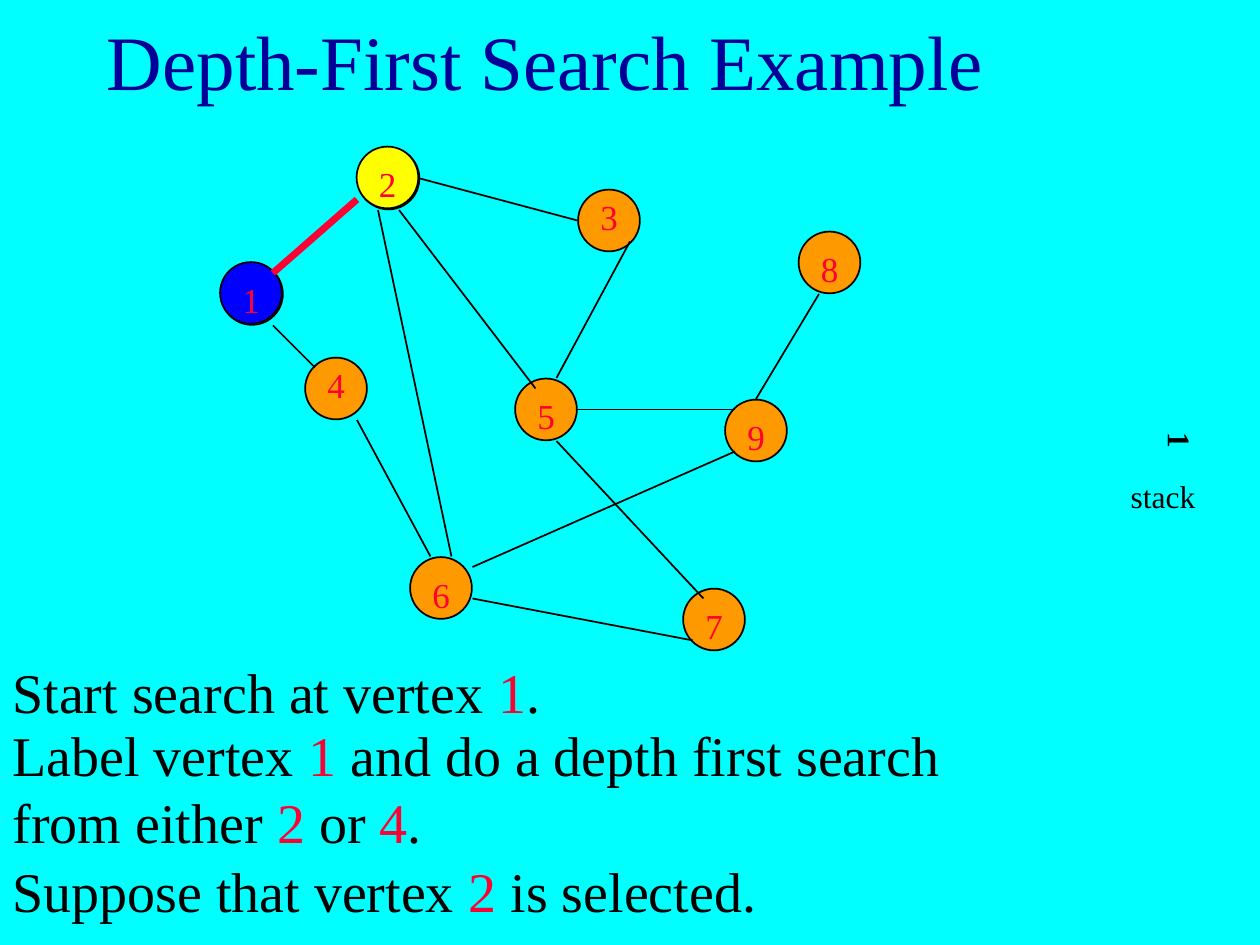
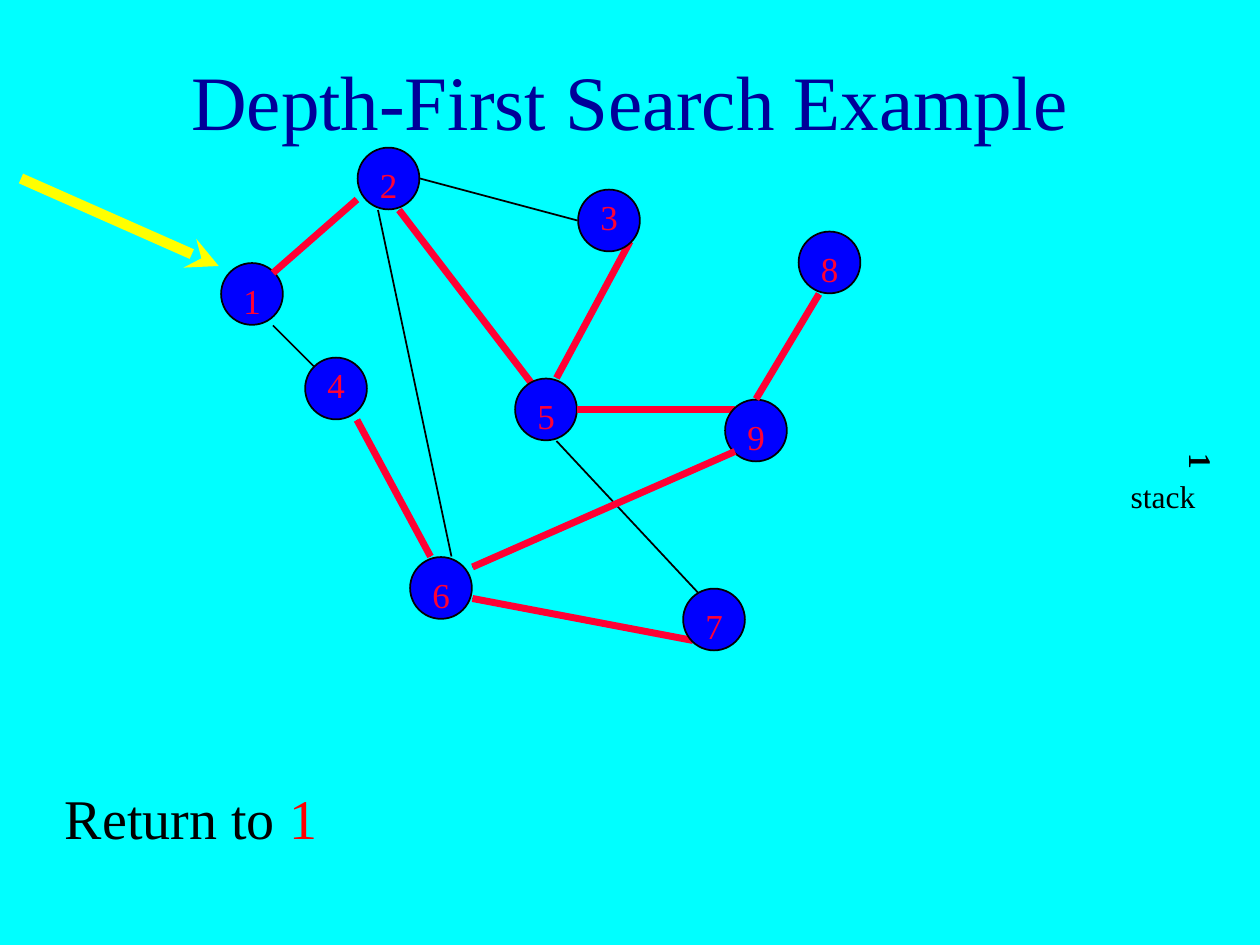
from pptx import Presentation
from pptx.dml.color import RGBColor
from pptx.enum import shapes, text
from pptx.oxml.ns import qn
from pptx.util import Pt
from lxml import etree

FONT = "Times New Roman"
AQUA, NAVY, BLACK = "00FFFF", "000099", "000000"
RED, ROSE, BLUE = "FF0000", "FF0033", "0000FF"
GOLD, AMBER = "FFFF00", "FF9900"
TITLE = "Depth-First Search Example"
GRAPH = (126, 84, 372, 288)
COLS = 62
RAD = 17.65
NODES = {1: (3, 14), 2: (16, 3), 3: (37, 7), 4: (11, 23), 5: (31, 25),
         6: (21, 42), 7: (47, 45), 8: (58, 11), 9: (51, 27)}
EDGES = {(1, 2): (5, 12, 13, 5), (2, 5): (17, 6, 30, 23),
         (1, 4): (5, 17, 9, 21), (6, 4): (20, 39, 13, 26),
         (6, 7): (24, 43, 45, 47), (5, 3): (32, 22, 39, 9),
         (5, 7): (32, 28, 46, 43), (9, 8): (51, 24, 57, 14),
         (5, 9): (34, 25, 49, 25), (2, 3): (19, 3, 34, 7),
         (2, 6): (15, 6, 22, 39), (9, 6): (49, 29, 24, 40)}
TREE = [(1, 2), (2, 5), (5, 9), (9, 8), (9, 6), (6, 4), (6, 7), (5, 3)]
HIGH = (3, 4)


def tint(code):
    """Turn a hex string into a colour."""
    return RGBColor.from_string(code)


def write(slide, box, parts, size, hues=(BLACK, ROSE), bold=False,
          align=text.PP_ALIGN.LEFT, anchor=text.MSO_ANCHOR.TOP, wrap=True):
    """Add a text box whose runs take the hues in turn."""
    shape = slide.shapes.add_textbox(*map(Pt, box))
    frame = shape.text_frame
    frame.word_wrap = wrap
    frame.vertical_anchor = anchor
    para = frame.paragraphs[0]
    para.alignment = align
    for i, part in enumerate(parts):
        run = para.add_run()
        run.text = part
        run.font.name = FONT
        run.font.size = Pt(size)
        run.font.bold = bold
        run.font.color.rgb = tint(hues[i % len(hues)])
    return shape


def link(slide, ends, hue=BLACK, width=1, arrow=False):
    """Draw a straight line, with an arrowhead at its end if asked."""
    line = slide.shapes.add_connector(shapes.MSO_CONNECTOR.STRAIGHT,
                                      *map(Pt, ends))
    line.line.color.rgb = tint(hue)
    line.line.width = Pt(width)
    props = line._element.spPr
    if arrow:
        etree.SubElement(props.find(qn("a:ln")), qn("a:tailEnd"),
                         type="stealth")
    etree.SubElement(props, qn("a:effectLst"))


def edge(slide, box, pair, hue=BLACK, width=1):
    """Draw one edge of the graph inside its box."""
    left, top, wide, _ = box
    unit = wide / COLS
    x1, y1, x2, y2 = EDGES[pair]
    link(slide, (left + x1 * unit, top + y1 * unit,
                 left + x2 * unit, top + y2 * unit), hue, width)


def disc(slide, box, key, fill):
    """Draw the circle of one vertex inside the graph box."""
    left, top, wide, _ = box
    unit = wide / COLS
    x, y = left + NODES[key][0] * unit, top + NODES[key][1] * unit
    shape = slide.shapes.add_shape(
        shapes.MSO_SHAPE.OVAL, Pt(x - RAD), Pt(y - RAD),
        Pt(2 * RAD), Pt(2 * RAD))
    shape.shadow.inherit = False
    shape.fill.solid()
    shape.fill.fore_color.rgb = tint(fill)
    shape.line.color.rgb = tint(BLACK)
    shape.line.width = Pt(1)
    return x, y


def node(slide, box, key, fill):
    """Draw one vertex with its number."""
    x, y = disc(slide, box, key, fill)
    rise = 18 if key in HIGH else 12
    write(slide, (x - 12, y - rise, 18, 31), [str(key)], 20, (ROSE,))


def stack(slide, box):
    """Write the stack label and its turned content in the given box."""
    write(slide, (639, 269, 52, 29), ["stack"], 18, wrap=False)
    item = write(slide, box, ["1"], 18, bold=True)
    item.text_frame._txBody.bodyPr.set("vert", "eaVert")


def base(deck, top, align):
    """Add a slide with its background and title."""
    slide = deck.slides.add_slide(deck.slide_layouts[6])
    fill = slide.background.fill
    fill.solid()
    fill.fore_color.rgb = tint(AQUA)
    write(slide, (54, top, 612, 90), [TITLE], 44, (NAVY,), align=align,
          anchor=text.MSO_ANCHOR.MIDDLE)
    return slide


def start(deck):
    """Build the slide where the search begins."""
    slide = base(deck, -11, text.PP_ALIGN.LEFT)
    for key in NODES:
        node(slide, GRAPH, key, AMBER)
    for pair in EDGES:
        edge(slide, GRAPH, pair)
    near = (GRAPH[0] - 0.6, GRAPH[1] - 0.6, *GRAPH[2:])
    for key, fill in ((1, BLUE), (2, GOLD)):
        node(slide, near, key, fill)
    edge(slide, GRAPH, TREE[0], ROSE, 4)
    write(slide, (0, 372, 612, 56), ["Start search at vertex ", "1", "."], 32)
    write(slide, (0, 408, 558, 84),
          ["Label vertex ", "1", " and do a depth first search from either",
           " 2 ", "or ", "4", "."], 32)
    write(slide, (0, 486, 558, 45),
          ["Suppose that vertex ", "2", " is selected."], 32)
    stack(slide, (653, 240, 36, 63))


def finish(deck):
    """Build the slide where the search is back at its start."""
    slide = base(deck, 12, text.PP_ALIGN.CENTER)
    for pair in EDGES:
        edge(slide, GRAPH, pair)
    node(slide, GRAPH, 1, BLUE)
    for pair in TREE:
        edge(slide, GRAPH, pair, ROSE, 4)
        node(slide, GRAPH, pair[1], BLUE)
    link(slide, (12, 102, 125, 152), GOLD, 6, arrow=True)
    write(slide, (30, 444, 624, 30), ["Return to ", "1"], 32, (BLACK, RED))
    stack(slide, (621, 252, 80, 63))


def main():
    """Build and save the deck."""
    deck = Presentation()
    deck.slide_width, deck.slide_height = Pt(720), Pt(540)
    start(deck)
    finish(deck)
    deck.save("out.pptx")


if __name__ == "__main__":
    main()
